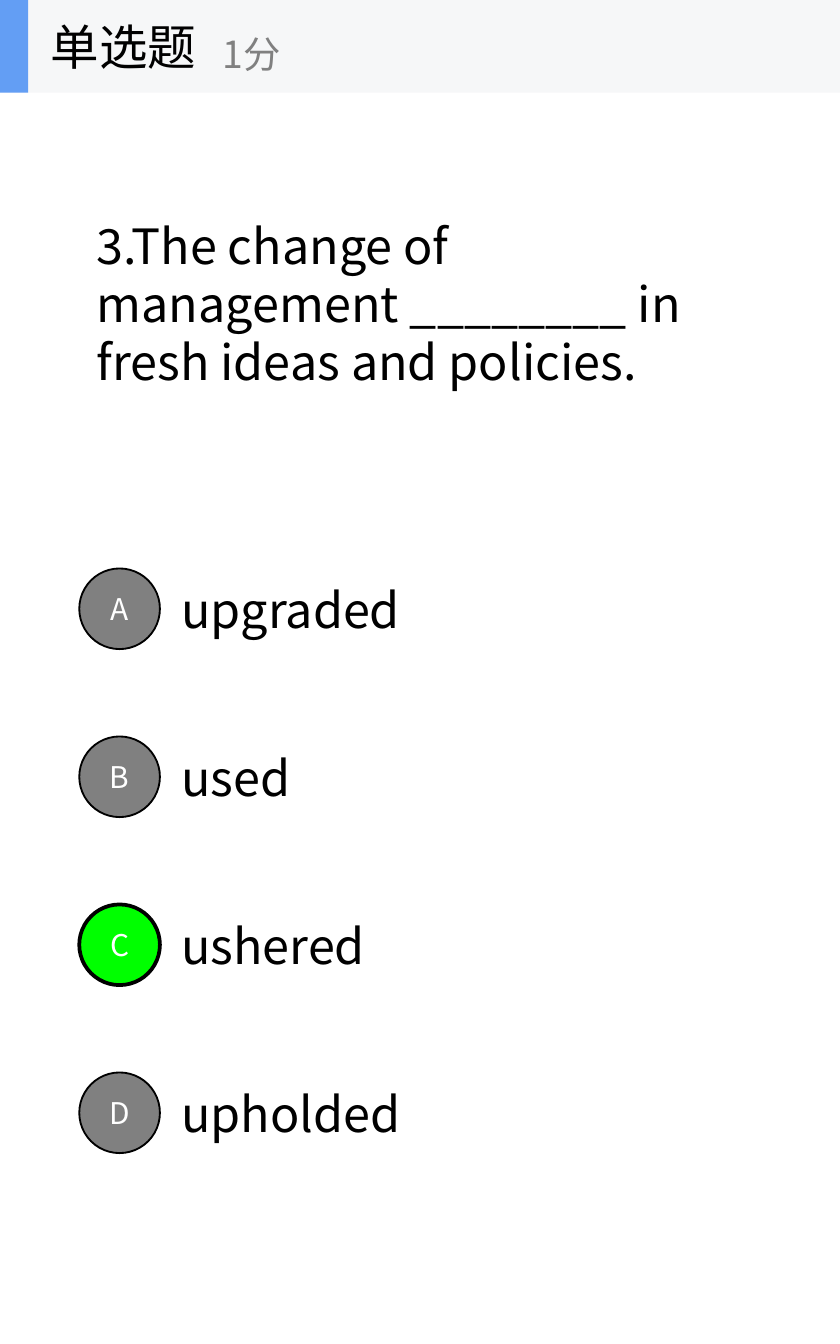
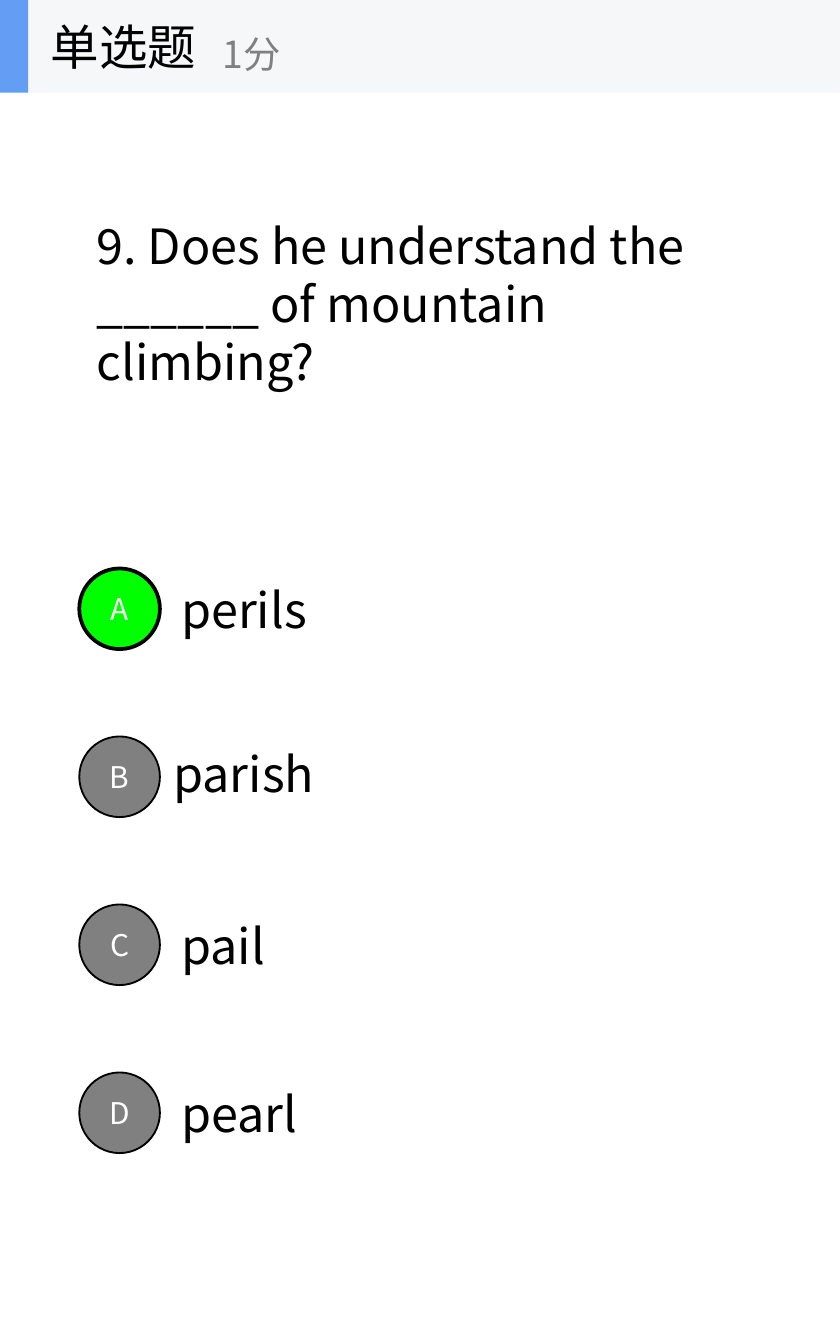
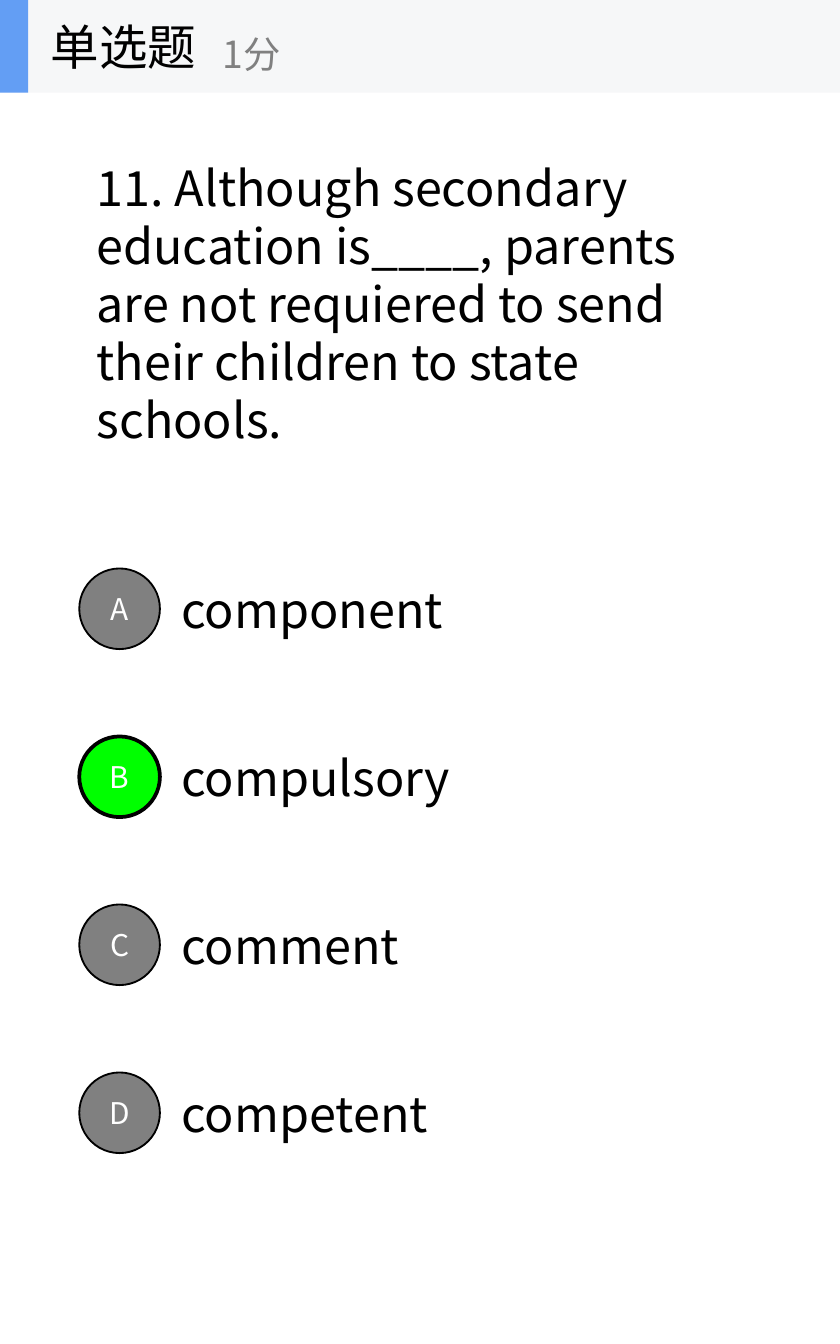
import dataclasses
import pptx
import pptx.util
import pptx.dml.color
import pptx.enum.shapes
import pptx.enum.text
import pptx.oxml.ns
import lxml.etree

Inches = pptx.util.Inches
Pt = pptx.util.Pt
Shape = pptx.enum.shapes.MSO_SHAPE
Align = pptx.enum.text.PP_ALIGN


@dataclasses.dataclass(frozen=True)
class Theme:
    font: str = "Noto Sans CJK SC"
    ink: str = "000000"
    paper: str = "FFFFFF"
    band: str = "F6F7F8"
    accent: str = "639EF4"
    muted: str = "808080"
    right: str = "00FF00"
    body: int = 26
    score: int = 20
    badge: int = 16


THEME = Theme()

# Each option: text, box width, shift of its box (left, top)
QUIZ = [
    dict(ask="3.The change of management ________ in fresh ideas and policies.",
         top=1.55, high=1.41, answer="C",
         options=[("upgraded", 3.39), ("used", 3.19),
                  ("ushered", 3.71), ("upholded", 4.21)]),
    dict(ask="9. Does he understand the ______ of mountain climbing?",
         top=1.55, high=1.41, answer="A",
         options=[("perils", 4.1), ("parish", 3.48, -0.06, -0.03),
                  ("pail", 1.76), ("pearl", 2.27)]),
    dict(ask="11. Although secondary education is____, parents are not "
             "requiered to send their children to state schools.",
         top=1.11, high=2.29, answer="B",
         options=[("component", 3.93), ("compulsory", 4.28),
                  ("comment", 3.79), ("competent", 4.37)]),
]


def color(code):
    return pptx.dml.color.RGBColor.from_string(code)


def write(frame, text, size=THEME.body, ink=THEME.ink, align=None,
          wrap=True, grow=False):
    """Put formatted, vertically centred text in a frame."""
    frame.word_wrap = wrap
    frame.vertical_anchor = pptx.enum.text.MSO_ANCHOR.MIDDLE
    if grow:
        frame.auto_size = pptx.enum.text.MSO_AUTO_SIZE.SHAPE_TO_FIT_TEXT
    para = frame.paragraphs[0]
    para.alignment = align
    run = para.add_run()
    run.text = text
    run.font.size = Pt(size)
    run.font.name = THEME.font
    run.font.color.rgb = color(ink)
    east = lxml.etree.SubElement(run.font._element, pptx.oxml.ns.qn("a:ea"))
    east.set("typeface", THEME.font)


class Deck:
    def __init__(self, theme, wide, high):
        self.theme = theme
        self.prs = pptx.Presentation()
        self.prs.slide_width = Inches(wide)
        self.prs.slide_height = Inches(high)
        self.slide = None

    def page(self):
        self.slide = self.prs.slides.add_slide(self.prs.slide_layouts[6])
        fill = self.slide.background.fill
        fill.solid()
        fill.fore_color.rgb = color(self.theme.paper)

    def text(self, words, box, host=None, **style):
        host = host or self.slide.shapes
        item = host.add_textbox(*map(Inches, box))
        write(item.text_frame, words, **style)

    def shape(self, kind, box, fill, line=None, host=None):
        host = host or self.slide.shapes
        item = host.add_shape(kind, *map(Inches, box))
        item.shadow.inherit = False
        item.fill.solid()
        item.fill.fore_color.rgb = color(fill)
        if line:
            item.line.color.rgb = color(self.theme.ink)
            item.line.width = Pt(line)
        else:
            item.line.fill.background()
        return item

    def badge(self, mark, top, right):
        fill = self.theme.right if right else self.theme.muted
        item = self.shape(Shape.OVAL, (0.59, top, 0.6, 0.6), fill,
                          line=2 if right else 1)
        frame = item.text_frame
        frame.margin_left = frame.margin_right = 0
        frame.margin_top = frame.margin_bottom = 0
        write(frame, mark, size=self.theme.badge, ink=self.theme.paper,
              align=Align.CENTER)

    def option(self, mark, top, right, words, wide, dx=0, dy=0):
        self.text(words, (1.25 + dx, top + 0.03 + dy, wide, 0.54), grow=True)
        self.badge(mark, top, right)

    def header(self):
        host = self.slide.shapes.add_group_shape().shapes
        self.shape(Shape.RECTANGLE, (0, 0, 6.25, 0.69), self.theme.band,
                   host=host)
        self.shape(Shape.RECTANGLE, (0, 0, 0.21, 0.69), self.theme.accent,
                   host=host)
        self.text("单选题", (0.28, 0, 2.08, 0.69), host=host, wrap=False)
        self.text("1分", (1.56, 0.12, 2.5, 0.56), host=host, wrap=False,
                  size=self.theme.score, ink=self.theme.muted)

    def question(self, ask, top, high, answer, options):
        self.page()
        self.text(ask, (0.62, top, 4.99, high), grow=True)
        for row, (mark, option) in enumerate(zip("ABCD", options)):
            self.option(mark, 4.23 + 1.25 * row, mark == answer, *option)
        self.header()


def main():
    deck = Deck(THEME, 6.25, 10)
    for item in QUIZ:
        deck.question(**item)
    deck.prs.save("out.pptx")


if __name__ == "__main__":
    main()
